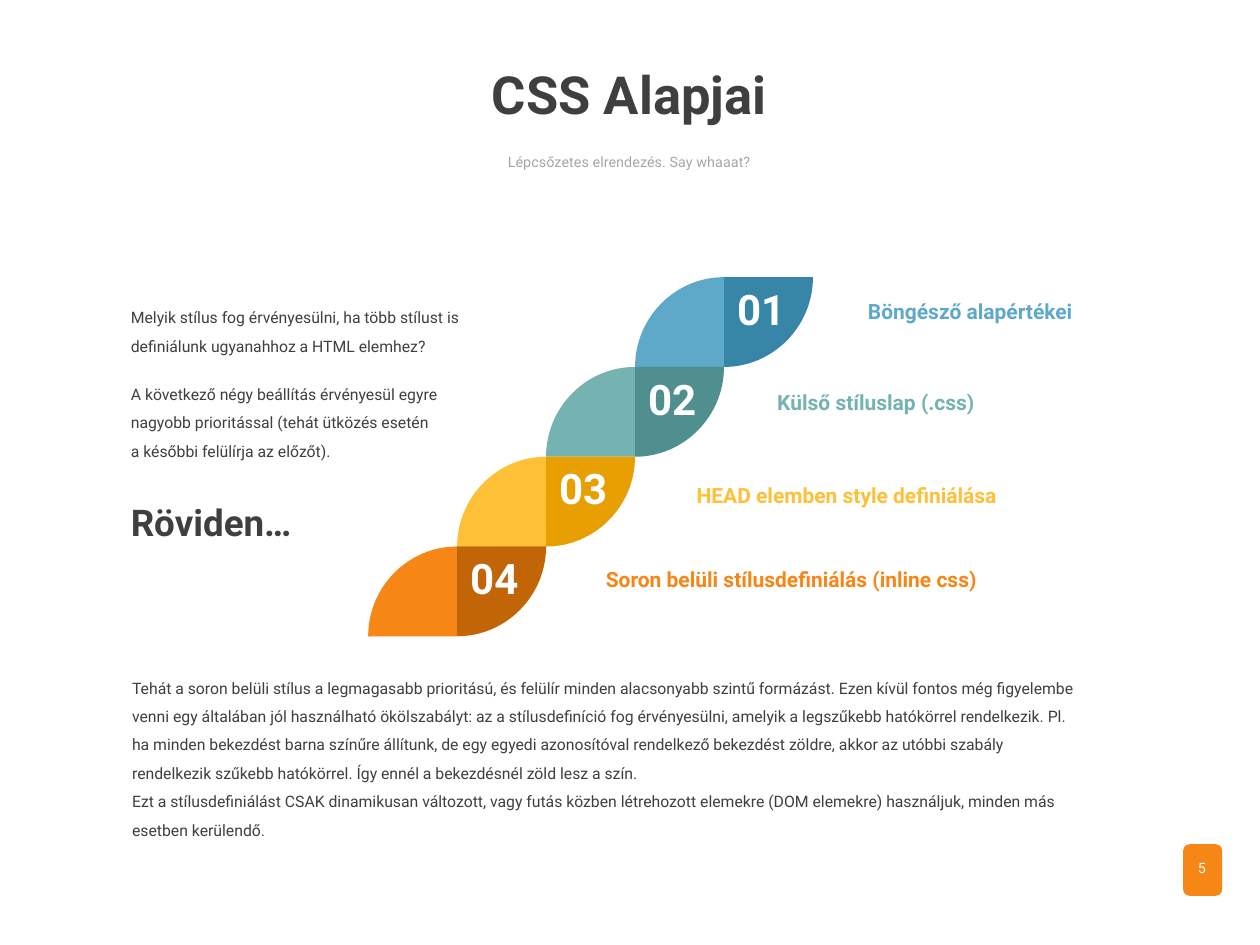
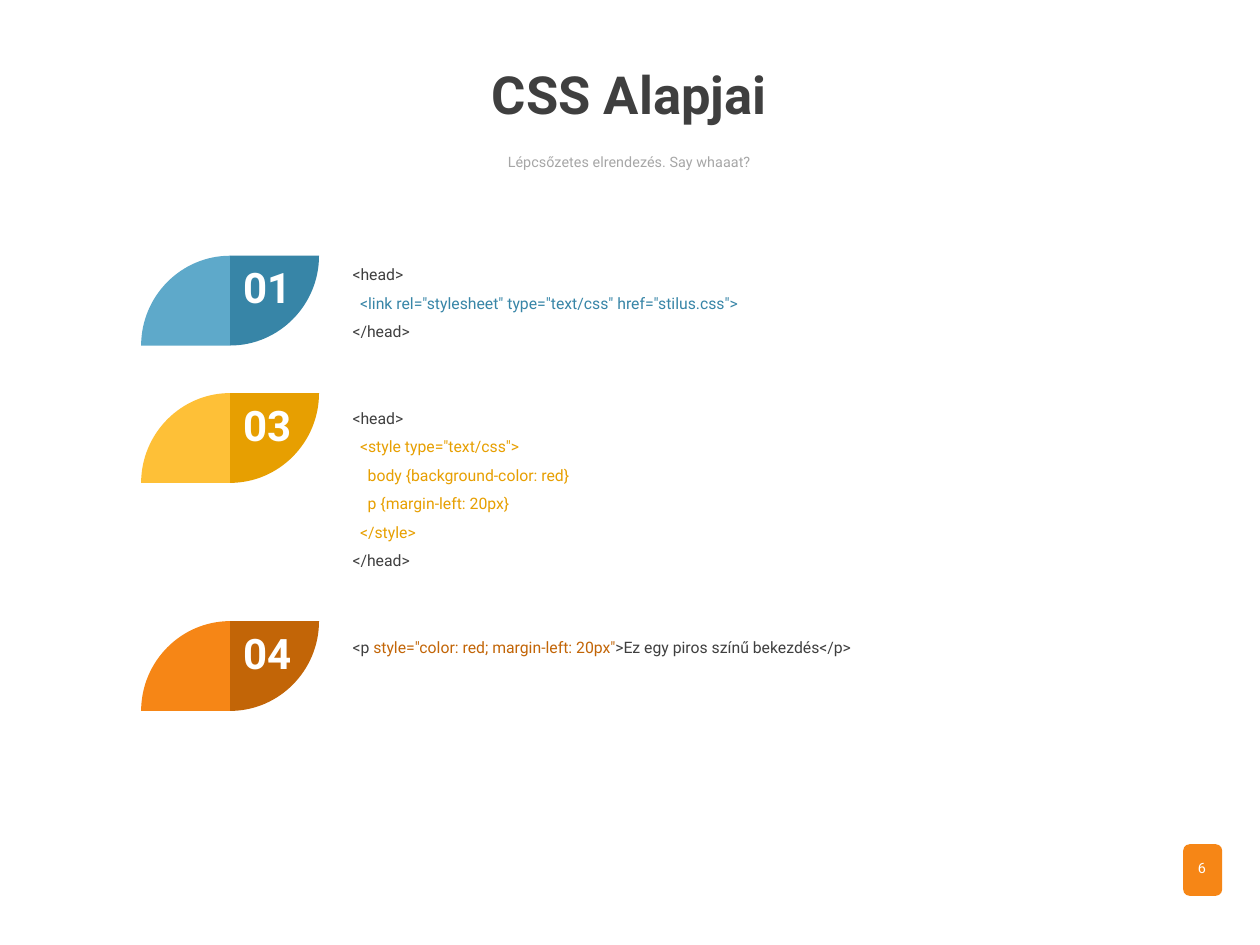
"""Build two slides on the basics of CSS priorities."""
from lxml import etree
from pptx import Presentation
from pptx.dml.color import RGBColor
from pptx.enum.shapes import MSO_SHAPE
from pptx.enum.text import MSO_ANCHOR, MSO_AUTO_SIZE, PP_ALIGN
from pptx.oxml.ns import qn
from pptx.util import Inches, Pt

ROUNDED = MSO_SHAPE.ROUNDED_RECTANGLE
TOP = MSO_ANCHOR.TOP
NO_FIT = MSO_AUTO_SIZE.NONE
LEFT, CENTER = PP_ALIGN.LEFT, PP_ALIGN.CENTER

FONT = "Roboto"
COLORS = {
    "text": "3F3F3F", "muted": "A6A6A6", "white": "FFFFFF",
    "blue": "5EA9CA", "blue_dark": "3785A7",
    "teal": "75B3B2", "teal_dark": "4F8F8E",
    "yellow": "FEC037", "yellow_dark": "E79F01",
    "orange": "F68616", "orange_dark": "C26507",
}
LEAF_W, LEAF_H = 3.53 / 5, 2.85 / 4
ARC_PULL = 0.55
CODE_INDENT = 0.06

TITLE = "CSS Alapjai"
SUBTITLE = "Lépcsőzetes elrendezés. Say whaaat?"
STAIRS_AT = (5.04, 2.2)
STAIRS = [
    ("01", "blue", "Böngésző alapértékei", (6.79, 2.22, 2.34, 0.37)),
    ("02", "teal", "Külső stíluslap (.css)", (6.07, 2.94, 2.12, 0.37)),
    ("03", "yellow", "HEAD elemben style definiálása", (5.43, 3.68, 2.68, 0.37)),
    ("04", "orange", "Soron belüli stílusdefiniálás (inline css)",
     (4.71, 4.35, 3.39, 0.37)),
]
QUESTION = [
    "Melyik stílus fog érvényesülni, ha több stílust is definiálunk ugyanahhoz "
    "a HTML elemhez?",
    "A következő négy beállítás érvényesül egyre nagyobb prioritással "
    "(tehát ütközés esetén \va későbbi felülírja az előzőt).",
]
IN_SHORT = "Röviden…"
SUMMARY = [
    "Tehát a soron belüli stílus a legmagasabb prioritású, és felülír minden "
    "alacsonyabb szintű formázást. Ezen kívül fontos még figyelembe venni egy "
    "általában jól használható ökölszabályt: az a stílusdefiníció fog érvényesülni, "
    "amelyik a legszűkebb hatókörrel rendelkezik. Pl. ha minden bekezdést barna "
    "színűre állítunk, de egy egyedi azonosítóval rendelkező bekezdést zöldre, akkor "
    "az utóbbi szabály rendelkezik szűkebb hatókörrel. Így ennél a bekezdésnél zöld "
    "lesz a szín.\vEzt a stílusdefiniálást CSAK dinamikusan változott, vagy futás "
    "közben létrehozott elemekre (DOM elemekre) használjuk, minden más esetben "
    "kerülendő.",
]
HEAD_OPEN = (0, [("<head>", "text")])
HEAD_CLOSE = (0, [("</head>", "text")])
EXAMPLES = [
    ("01", "blue", 2.03, (2.7, 1.98, 6.03, 0.76), [
        HEAD_OPEN,
        (1, [('<link rel="stylesheet" type="text/css" href="stilus.css">',
              "blue_dark")]),
        HEAD_CLOSE,
    ]),
    ("03", "yellow", 3.12, (2.7, 3.12, 6.03, 1.44), [
        HEAD_OPEN,
        (1, [('<style type="text/css">', "yellow_dark")]),
        (2, [("body {background-color: red}", "yellow_dark")]),
        (2, [("p {margin-left: 20px}", "yellow_dark")]),
        (1, [("</style>", "yellow_dark")]),
        HEAD_CLOSE,
    ]),
    ("04", "orange", 4.93, (2.7, 4.94, 6.03, 0.3), [
        (0, [("<p ", "text"),
             ('style="color: red; margin-left: 20px"', "orange_dark"),
             (">Ez egy piros színű bekezdés</p>", "text")]),
    ]),
]


def rgb(name):
    return RGBColor.from_string(COLORS[name])


def paint(sp, color):
    sp.fill.solid()
    sp.fill.fore_color.rgb = rgb(color)
    sp.line.fill.background()
    sp.shadow.inherit = False


def write(sp, lines, size, bold=False, align=LEFT, spacing=1.0, after=0):
    """Fill a shape with lines of (indent level, [(text, color), ...])."""
    tf = sp.text_frame
    tf.word_wrap, tf.auto_size, tf.vertical_anchor = True, NO_FIT, TOP
    tf.margin_left = tf.margin_right = Inches(0.1)
    tf.margin_top = tf.margin_bottom = Inches(0.05)
    for i, (level, parts) in enumerate(lines):
        p = tf.add_paragraph() if i else tf.paragraphs[0]
        p.alignment, p.line_spacing = align, spacing
        p.space_before = Pt(0)
        p.space_after = Pt(after if i < len(lines) - 1 else 0)
        if level:
            p._p.get_or_add_pPr().set("marL", str(Inches(CODE_INDENT * level)))
        for text, color in parts:
            if len(parts) == 1:
                p.text = text
            else:
                p.add_run().text = text
            for r in p.runs if len(parts) == 1 else p.runs[-1:]:
                r.font.name, r.font.size, r.font.bold = FONT, Pt(size), bold
                r.font.color.rgb = rgb(color)


def add_text(slide, box, texts, size, color="text", **style):
    sp = slide.shapes.add_textbox(*map(Inches, box))
    write(sp, [(0, [(text, color)]) for text in texts], size, **style)


def add_quarter(slide, corner, start, end, color):
    """Draw a quarter ellipse whose arc runs from start to end around corner."""
    start, end, corner = [tuple(map(Inches, pt)) for pt in (start, end, corner)]
    builder = slide.shapes.build_freeform(*start)
    builder.add_line_segments([end, corner], close=True)
    sp = builder.convert_to_shape()
    paint(sp, color)
    first, last, center = [(int(pt.get("x")), int(pt.get("y")))
                           for pt in sp._element.iter(qn("a:pt"))]
    pulls = [
        [a + ARC_PULL * (b - c) for a, b, c in zip(near, far, center)]
        for near, far in ((first, last), (last, first))
    ]
    line = next(sp._element.iter(qn("a:lnTo")))
    curve = etree.Element(qn("a:cubicBezTo"))
    for x, y in (*pulls, last):
        etree.SubElement(curve, qn("a:pt"), x=str(round(x)), y=str(round(y)))
    line.getparent().replace(line, curve)


def add_leaf(slide, x, y, color):
    middle, right, bottom = x + LEAF_W, x + 2 * LEAF_W, y + LEAF_H
    add_quarter(slide, (middle, bottom), (middle, y), (x, bottom), color)
    add_quarter(slide, (middle, y), (middle, bottom), (right, y), color + "_dark")


def add_number(slide, x, y, number):
    add_text(slide, (x + LEAF_W, y, 0.59, 0.5), [number], 24, "white",
             bold=True, align=CENTER)


def add_base(prs, page):
    slide = prs.slides.add_slide(prs.slide_layouts[5])
    badge = slide.shapes.add_shape(ROUNDED, *map(Inches, (9.39, 6.7, 0.31, 0.41)))
    paint(badge, "orange")
    add_text(slide, (9.34, 6.77, 0.4, 0.24), [str(page)], 8.25, "white", align=CENTER)
    title = slide.shapes.title
    title.left, title.top, title.width, title.height = map(
        Inches, (2.59, 0.5, 4.81, 0.81))
    write(title, [(0, [(TITLE, "text")])], 30, bold=True, align=CENTER, spacing=0.9)
    add_text(slide, (2.59, 1.18, 4.81, 0.35), [SUBTITLE], 8.25, "muted",
             align=CENTER, spacing=0.9)
    return slide


def build_priorities(prs):
    slide = add_base(prs, 5)
    left, top = STAIRS_AT
    for i, (number, color, label, box) in enumerate(STAIRS):
        x, y = left - i * LEAF_W, top + i * LEAF_H
        add_leaf(slide, x, y, color)
        add_number(slide, x, y, number)
        add_text(slide, box, [label], 12, color, bold=True, spacing=1.5)
    add_text(slide, (0.94, 3.92, 3.34, 0.45), [IN_SHORT], 21, bold=True)
    add_text(slide, (0.94, 2.32, 3.11, 1.44), QUESTION, 9, spacing=1.5, after=11.4)
    add_text(slide, (0.95, 5.26, 7.68, 1.44), SUMMARY, 9, spacing=1.5)


def build_examples(prs):
    slide = add_base(prs, 6)
    for number, color, y, box, code in EXAMPLES:
        add_leaf(slide, 1.12, y, color)
        add_number(slide, 1.12, y, number)
        sp = slide.shapes.add_textbox(*map(Inches, box))
        write(sp, code, 9, spacing=1.5)


def main():
    prs = Presentation()
    prs.slide_width, prs.slide_height = Inches(10), Inches(7.5)
    build_priorities(prs)
    build_examples(prs)
    prs.save("out.pptx")


if __name__ == "__main__":
    main()
